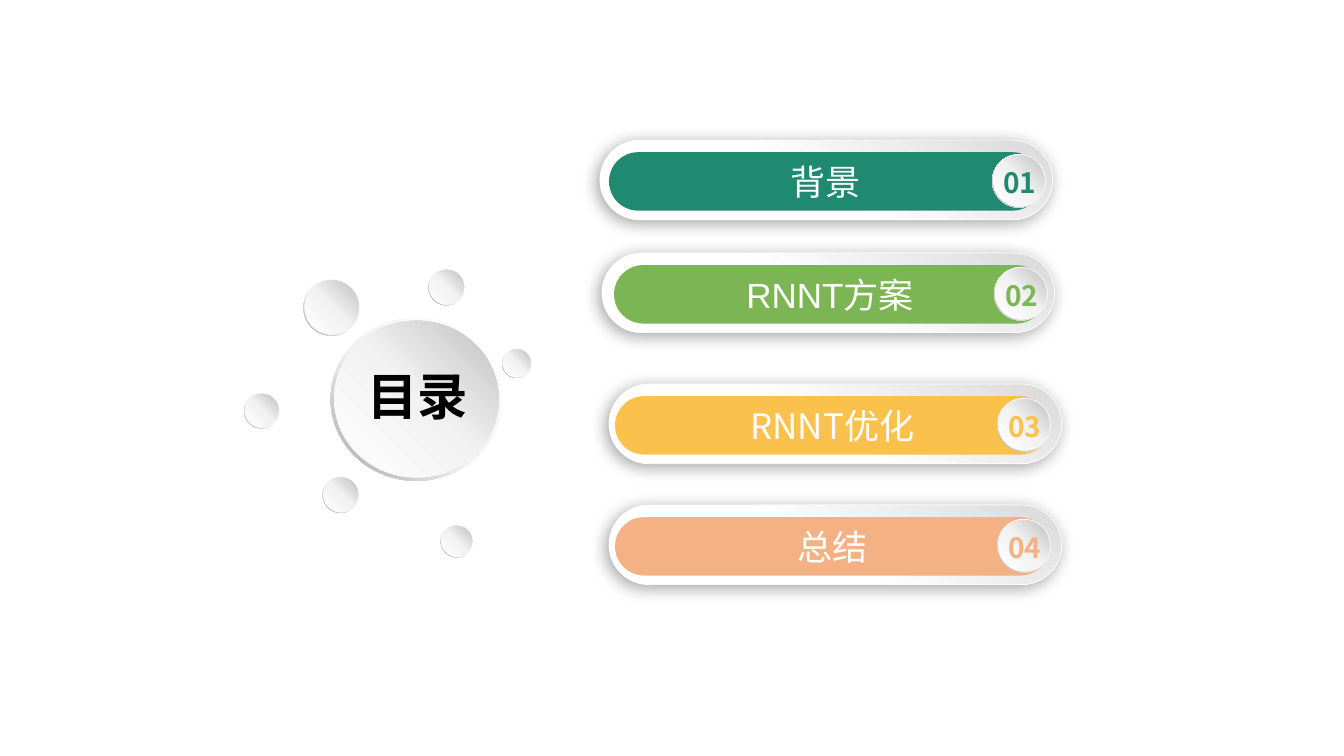
from lxml import etree
from pptx import Presentation
from pptx.dml.color import RGBColor
from pptx.enum import shapes, text
from pptx.oxml import ns
from pptx.util import Inches, Pt

CELL = Inches(1)
CJK = "Noto Sans CJK SC"
RIM = ([(0, "FFFFFF"), (55, "F2F2F2"), (100, "A6A6A6")], 135)
FACE = ([(0, "FFFFFF"), (51, "F2F2F2"), (100, "BFBFBF")], 315)
TRACK = ([(45, "FFFFFF"), (100, "D9D9D9")], 300)

presentation = Presentation()
presentation.slide_width = int(13.33 * CELL)
presentation.slide_height = int(7.5 * CELL)
slide = presentation.slides.add_slide(presentation.slide_layouts[5])


def add_part(kind, column, row, columns, rows, fill, adjustment=None):
    shape = slide.shapes.add_shape(kind, *(int(n * CELL) for n in (column, row, columns, rows)))
    shape.shadow.inherit = False
    shape.line.fill.background()
    if adjustment is not None:
        shape.adjustments[0] = adjustment
    if isinstance(fill, str):
        shape.fill.solid()
        shape.fill.fore_color.rgb = RGBColor.from_string(fill)
        return shape
    stops, angle = fill
    shape.fill.gradient()
    shape.fill.gradient_angle = 360 - angle
    stop_list = shape._element.spPr.find(".//" + ns.qn("a:gsLst"))
    for stop in list(stop_list):
        stop_list.remove(stop)
    for position, color in stops:
        stop = etree.SubElement(stop_list, ns.qn("a:gs"), pos=str(position * 1000))
        etree.SubElement(stop, ns.qn("a:srgbClr"), val=color)
    return shape


def write(shape, words, size, font_name, color, bold=False):
    frame = shape.text_frame
    frame.word_wrap = True
    frame.vertical_anchor = text.MSO_ANCHOR.MIDDLE
    frame.margin_left = frame.margin_right = frame.margin_top = frame.margin_bottom = 0
    paragraph = frame.paragraphs[0]
    paragraph.text = words
    paragraph.alignment = text.PP_ALIGN.CENTER
    font = paragraph.font
    font.size = Pt(size)
    font.bold = bold
    font.name = font_name
    font.color.rgb = RGBColor.from_string(color)
    etree.SubElement(font._element, ns.qn("a:ea"), typeface=CJK)


tracks = [
    (5.95, 1.39, 6.04, 10.33, 9.84, "背景", "Arial", "1F8A70"),
    (5.97, 2.51, 6.09, 10.37, 9.86, "RNNT方案", "Arial", "7CB554"),
    (6.04, 3.81, 6.10, 10.41, 9.89, "RNNT优化", CJK, "FAC14D"),
    (6.04, 5.01, 6.10, 10.41, 9.89, "总结", CJK, "F4B183"),
]
for left, top, pill_left, pill_right, _, words, font_name, color in tracks:
    track = add_part(shapes.MSO_SHAPE.ROUNDED_RECTANGLE, left, top, 4.49, 0.79, TRACK, 0.5)
    track.line.color.rgb = RGBColor.from_string("FFFFFF")
    track.line.width = Pt(0.5)
    effects = track._element.spPr.find(ns.qn("a:effectLst"))
    shadow = etree.SubElement(effects, ns.qn("a:outerShdw"), blurRad=str(Pt(12)),
                              dist=str(Pt(3)), dir=str(135 * 60000), rotWithShape="0")
    shade = etree.SubElement(shadow, ns.qn("a:srgbClr"), val="000000")
    etree.SubElement(shade, ns.qn("a:alpha"), val="34000")
    pill = add_part(shapes.MSO_SHAPE.ROUNDED_RECTANGLE, pill_left, top + 0.12,
                    pill_right - pill_left, 0.58, color, 0.5)
    write(pill, words, 25, font_name, "FFFFFF")

orbs = [
    (3.28, 3.15, 1.70, 1.62),
    (4.98, 3.46, 0.29, 0.29),
    (3.20, 4.73, 0.36, 0.36),
    (4.37, 5.21, 0.32, 0.32),
    (3.01, 2.77, 0.56, 0.56),
    (4.25, 2.67, 0.36, 0.36),
    (2.42, 3.90, 0.35, 0.35),
]
badges = [(track[4], track[1] + 0.14, 0.53, 0.53) for track in tracks]
for left, top, width, height in orbs + badges:
    add_part(shapes.MSO_SHAPE.DONUT, left, top, width, height, RIM, 0.049)
    add_part(shapes.MSO_SHAPE.OVAL, left + 0.02 * width, top + 0.02 * height,
             0.96 * width, 0.96 * height, FACE)

for number, (badge, track) in enumerate(zip(badges, tracks), 1):
    label = slide.shapes.add_textbox(int((badge[0] + 0.06) * CELL), int((badge[1] + 0.11) * CELL),
                                     int(0.43 * CELL), int(0.34 * CELL))
    write(label, f"{number:02}", 20, CJK, track[-1], True)

title = slide.shapes.title
title.left, title.top = int(3.41 * CELL), int(3.62 * CELL)
title.width, title.height = int(1.47 * CELL), int(0.61 * CELL)
write(title, "目录", 36, CJK, "000000", True)
slide.shapes._spTree.append(title._element)

presentation.save("out.pptx")
